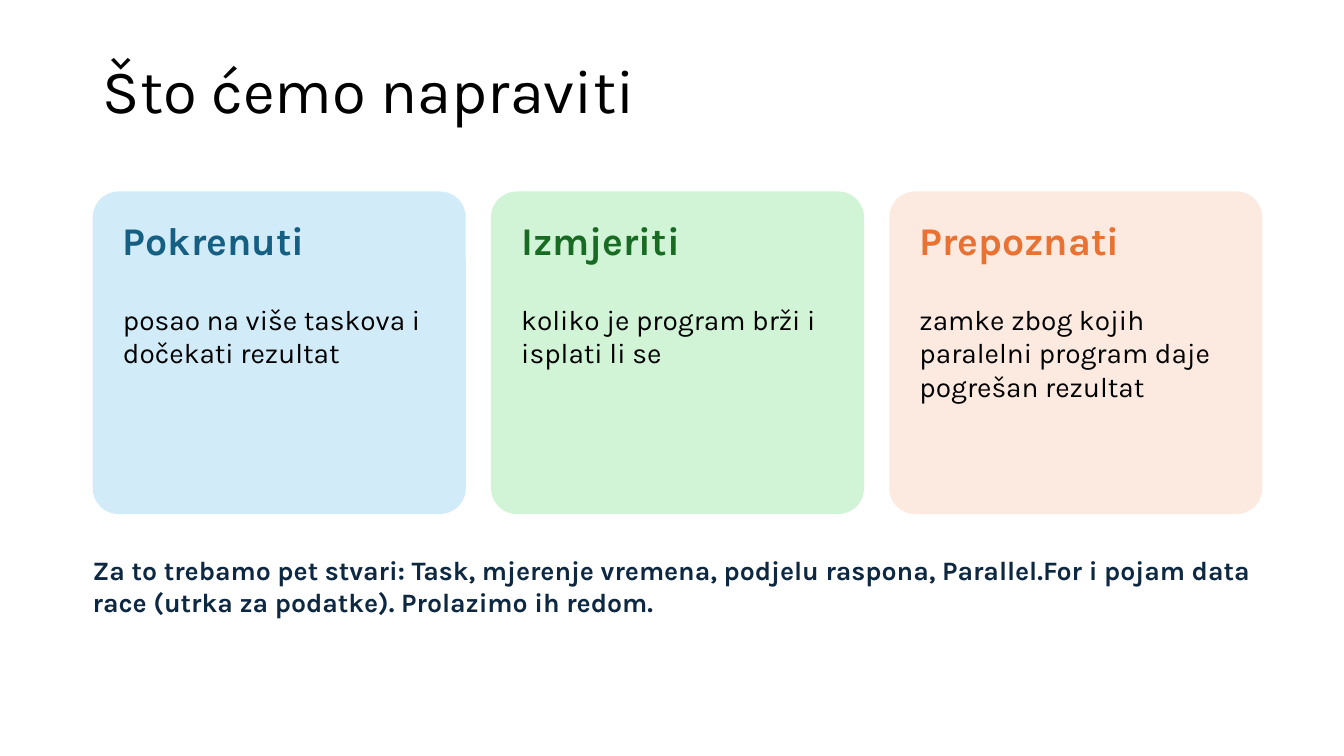
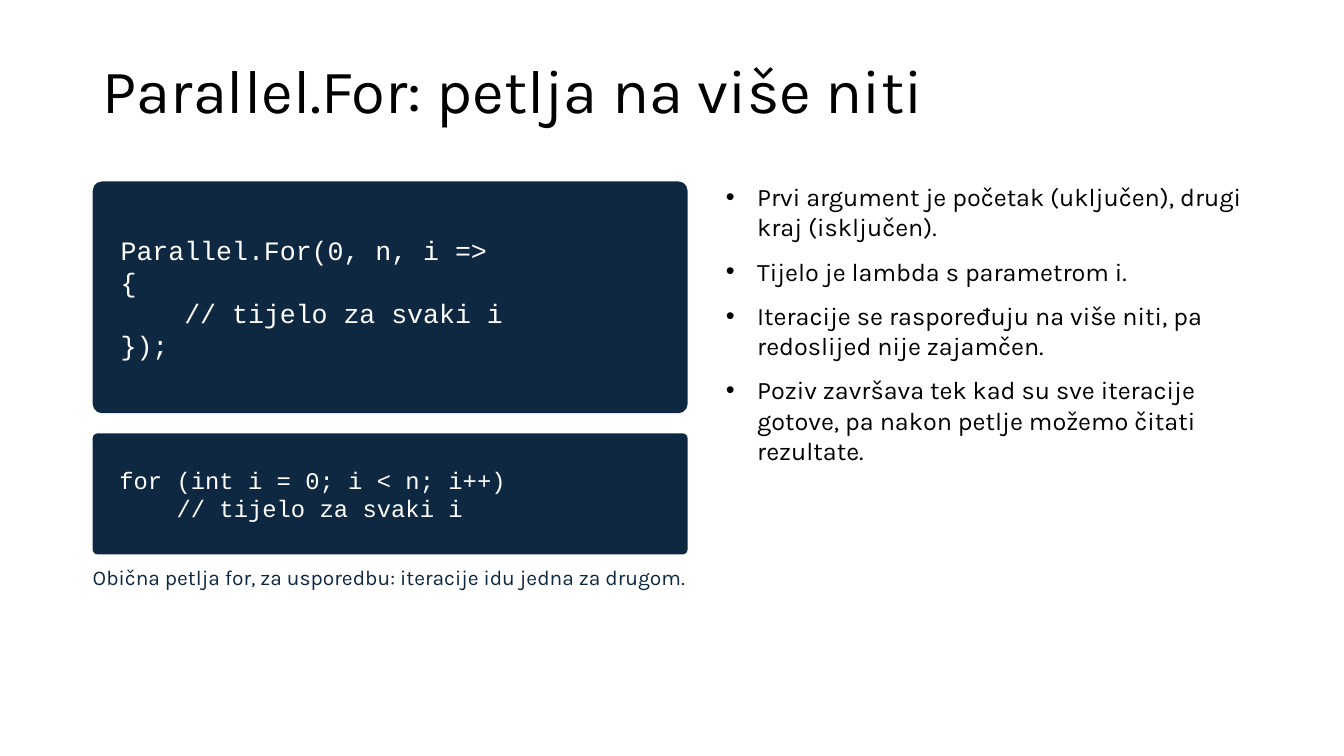
from lxml import etree
from pptx import Presentation
from pptx.dml.color import RGBColor
from pptx.enum.shapes import MSO_SHAPE as Shape
from pptx.enum.text import MSO_ANCHOR as Anchor, MSO_AUTO_SIZE as AutoSize, PP_ALIGN as Align
from pptx.oxml.ns import qn
from pptx.util import Inches, Pt

BLACK = RGBColor(0x00, 0x00, 0x00)
WHITE = RGBColor(0xFF, 0xFF, 0xFF)
NAVY = RGBColor(0x0E, 0x28, 0x41)
BLUE = RGBColor(0x15, 0x60, 0x82)
GREEN = RGBColor(0x19, 0x6B, 0x24)
ORANGE = RGBColor(0xE9, 0x71, 0x32)
PALE_BLUE = RGBColor(0xD1, 0xEB, 0xF8)
PALE_GREEN = RGBColor(0xD1, 0xF4, 0xD6)
PALE_ORANGE = RGBColor(0xFC, 0xEA, 0xE0)

TITLE_ONLY, TITLE_AND_BODY = 5, 1
LEFT = 0.92


class Deck:
    """Holds the shared style and the current slide."""

    text_font = "Karla"
    code_font = "Courier New"

    def __init__(self):
        self.presentation = Presentation()
        self.presentation.slide_width = Inches(13.33)
        self.presentation.slide_height = Inches(7.5)
        self.slide = None

    def add_slide(self, title, layout):
        layouts = self.presentation.slide_layouts
        self.slide = self.presentation.slides.add_slide(layouts[layout])
        shape = self.slide.shapes.title
        self.place(shape, LEFT, 0.4, 11.5, 1.06)
        frame = self.prepare(shape, (0.1, 0.05, 0.1, 0.05), Anchor.MIDDLE)
        self.fill_text(frame, [title], 44, BLACK)
        frame.paragraphs[0].line_spacing = 0.9

    def place(self, shape, left, top, width, height):
        shape.left, shape.top = Inches(left), Inches(top)
        shape.width, shape.height = Inches(width), Inches(height)

    def prepare(self, shape, insets=(0, 0, 0, 0), anchor=Anchor.TOP):
        frame = shape.text_frame
        frame.word_wrap = True
        frame.auto_size = AutoSize.NONE
        frame.vertical_anchor = anchor
        (frame.margin_left, frame.margin_top,
         frame.margin_right, frame.margin_bottom) = map(Inches, insets)
        return frame

    def fill_text(self, frame, lines, size, color, bold=False, font=None, bullets=False):
        for index, line in enumerate(lines):
            paragraph = frame.add_paragraph() if index else frame.paragraphs[0]
            paragraph.alignment = Align.LEFT
            paragraph.space_before = Pt(0)
            if bullets:
                paragraph.space_after = Pt(10)
                self.add_bullet(paragraph)
            run = paragraph.add_run()
            run.text = line
            run.font.name = font or self.text_font
            run.font.size = Pt(size)
            run.font.bold = bold
            run.font.color.rgb = color

    def add_bullet(self, paragraph):
        properties = paragraph._p.get_or_add_pPr()
        properties.set("marL", str(Inches(0.31)))
        properties.set("indent", str(-Inches(0.31)))
        etree.SubElement(properties, qn("a:buChar")).set("char", "•")

    def add_text(self, text, left, top, width, height, size, color, bold=False):
        box = self.slide.shapes.add_textbox(0, 0, 0, 0)
        self.place(box, left, top, width, height)
        self.fill_text(self.prepare(box), [text], size, color, bold)

    def add_panel(self, left, top, width, height, fill, rounding):
        panel = self.slide.shapes.add_shape(Shape.ROUNDED_RECTANGLE, 0, 0, 0, 0)
        self.place(panel, left, top, width, height)
        panel.adjustments[0] = rounding
        panel.shadow.inherit = False
        panel.fill.solid()
        panel.fill.fore_color.rgb = fill
        panel.line.fill.background()
        return panel

    def add_card(self, left, heading, text, color, fill):
        self.add_panel(left, 1.9, 3.7, 3.2, fill, 0.08)
        self.add_text(heading, left + 0.3, 2.15, 3.1, 0.6, 28, color, bold=True)
        self.add_text(text, left + 0.3, 3, 3.1, 1.9, 20, BLACK)

    def add_code(self, lines, top, height, size):
        panel = self.add_panel(LEFT, top, 5.9, height, NAVY, 0.04)
        frame = self.prepare(panel, (0.25, 0.05, 0.1, 0.05), Anchor.MIDDLE)
        self.fill_text(frame, lines, size, WHITE, font=self.code_font)

    def add_list(self, items, left, top, width, height):
        body = self.slide.placeholders[1]
        self.place(body, left, top, width, height)
        self.fill_text(self.prepare(body), items, 18, BLACK, bullets=True)


def main():
    deck = Deck()

    # Goals: three cards and a summary
    deck.add_slide("Što ćemo napraviti", TITLE_ONLY)
    cards = [
        ("Pokrenuti", "posao na više taskova i dočekati rezultat", BLUE, PALE_BLUE),
        ("Izmjeriti", "koliko je program brži i isplati li se", GREEN, PALE_GREEN),
        ("Prepoznati", "zamke zbog kojih paralelni program daje pogrešan rezultat",
         ORANGE, PALE_ORANGE),
    ]
    for index, card in enumerate(cards):
        deck.add_card(LEFT + index * 3.95, *card)
    deck.add_text(
        "Za to trebamo pet stvari: Task, mjerenje vremena, podjelu raspona, "
        "Parallel.For i pojam data race (utrka za podatke). Prolazimo ih redom.",
        LEFT, 5.5, 11.6, 0.9, 19, NAVY, bold=True)

    # Parallel loop: code on the left, explanation on the right
    deck.add_slide("Parallel.For: petlja na više niti", TITLE_AND_BODY)
    loop_body = "    // tijelo za svaki i"
    deck.add_code(["Parallel.For(0, n, i =>", "{", loop_body, "});"], 1.8, 2.3, 19)
    deck.add_code(["for (int i = 0; i < n; i++)", loop_body], 4.3, 1.2, 17)
    deck.add_text("Obična petlja for, za usporedbu: iteracije idu jedna za drugom.",
                  LEFT, 5.6, 5.9, 0.5, 15, NAVY)
    deck.add_list([
        "Prvi argument je početak (uključen), drugi kraj (isključen).",
        "Tijelo je lambda s parametrom i.",
        "Iteracije se raspoređuju na više niti, pa redoslijed nije zajamčen.",
        "Poziv završava tek kad su sve iteracije gotove, "
        "pa nakon petlje možemo čitati rezultate.",
    ], 7.2, 1.8, 5.3, 4.6)

    deck.presentation.save("out.pptx")


if __name__ == "__main__":
    main()
